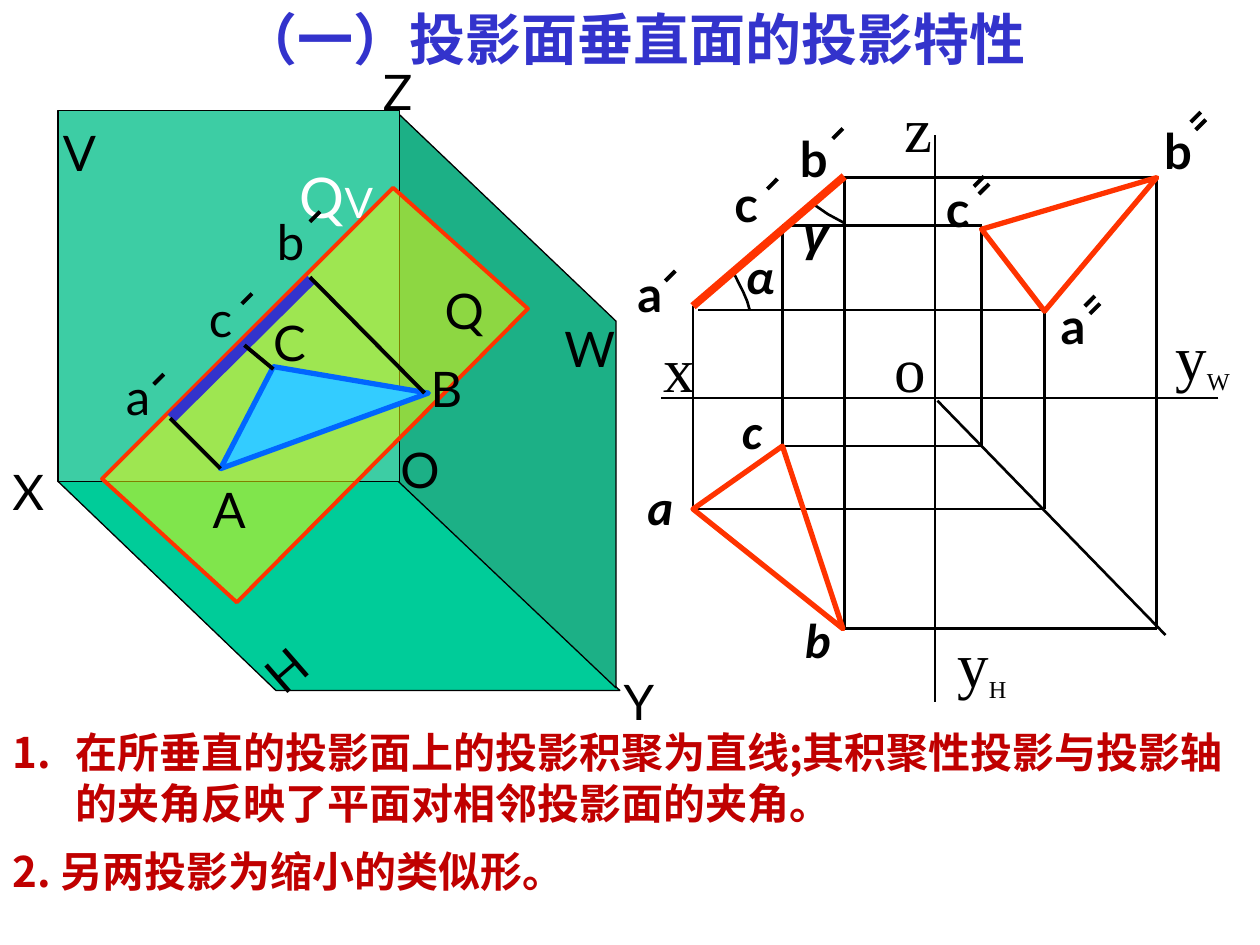
from dataclasses import dataclass

from lxml import etree
from pptx import Presentation
from pptx.dml.color import RGBColor
from pptx.enum.shapes import MSO_CONNECTOR, MSO_SHAPE
from pptx.enum.text import MSO_ANCHOR, MSO_AUTO_SIZE, PP_ALIGN
from pptx.oxml.ns import qn
from pptx.util import Inches, Pt

STRAIGHT = MSO_CONNECTOR.STRAIGHT
RECTANGLE = MSO_SHAPE.RECTANGLE
MIDDLE = MSO_ANCHOR.MIDDLE
FIT_SHAPE = MSO_AUTO_SIZE.SHAPE_TO_FIT_TEXT
NO_FIT = MSO_AUTO_SIZE.NONE
CENTER = PP_ALIGN.CENTER

BLACK, WHITE, BLUE = "000000", "FFFFFF", "3333CC"
ORANGE, DARK_RED = "FF3300", "C00000"
SANS, SERIF, ITALIC_FACE, CHINESE = "Lato", "Times New Roman", "Calibri", "Noto Sans CJK SC"

Point = tuple[float, float]


@dataclass
class Label:
    text: str
    left: float
    top: float
    width: float = 0.54
    height: float = 0.57
    size: float = 28
    font: str = SANS
    color: str = BLACK
    bold: bool = False
    italic: bool = False
    wrap: bool = True
    rotation: float = 0
    suffix: str = ""
    suffix_size: float = 24
    suffix_baseline: int = 0


@dataclass
class PrimedPoint:
    letter: str
    left: float
    top: float
    bold: bool = True
    primes: int = 1


PRIME_OFFSETS = {
    1: {"a": (0.4, 0.11), "b": (0.44, 0.05), "c": (0.44, 0.09)},
    2: {"a": (0.37, 0.05), "b": (0.39, -0.02), "c": (0.4, 0.03)},
}

prs = Presentation()
prs.slide_width, prs.slide_height = Inches(10), Inches(7.5)
slide = prs.slides.add_slide(prs.slide_layouts[5])
shapes = slide.shapes


def rgb(value: str) -> RGBColor:
    return RGBColor.from_string(value)


def style_font(font, size: float, face: str, color: str, bold=False, italic=False) -> None:
    font.size, font.name = Pt(size), face
    font.bold, font.italic = bold, italic
    font.color.rgb = rgb(color)
    if face == CHINESE:
        etree.SubElement(font._element, qn("a:ea")).set("typeface", face)


def draw_line(start: Point, end: Point, color=BLACK, width=1.5) -> None:
    line = shapes.add_connector(STRAIGHT, *map(Inches, start + end))
    line.line.color.rgb, line.line.width = rgb(color), Pt(width)
    etree.SubElement(line._element.spPr, qn("a:effectLst"))


def style_shape(shape, fill: str | None, color: str, width: float) -> None:
    shape.shadow.inherit = False
    if fill:
        shape.fill.solid()
        shape.fill.fore_color.rgb = rgb(fill)
    else:
        shape.fill.background()
    shape.line.color.rgb, shape.line.width = rgb(color), Pt(width)


def draw_outline(points: list[Point], color: str, width: float, fill=None, closed=True, alpha=None) -> None:
    corners = [(Inches(x), Inches(y)) for x, y in points]
    builder = shapes.build_freeform(*corners[0])
    builder.add_line_segments(corners[1:], close=closed)
    outline = builder.convert_to_shape()
    style_shape(outline, fill, color, width)
    if alpha:
        fill_color = outline._element.spPr.find(qn("a:solidFill"))[0]
        etree.SubElement(fill_color, qn("a:alpha")).set("val", str(alpha * 1000))


def draw_label(label: Label):
    box = shapes.add_textbox(*map(Inches, (label.left, label.top, label.width, label.height)))
    box.rotation = label.rotation
    frame = box.text_frame
    frame.word_wrap, frame.auto_size = label.wrap, FIT_SHAPE
    paragraph = frame.paragraphs[0]
    paragraph.add_run().text = label.text
    style_font(paragraph.font, label.size, label.font, label.color, label.bold, label.italic)
    if label.suffix:
        suffix = paragraph.add_run()
        suffix.text = label.suffix
        suffix.font.size = Pt(label.suffix_size)
        if label.suffix_baseline:
            suffix.font._element.set("baseline", str(label.suffix_baseline * 1000))
    return paragraph


def draw_primed(point: PrimedPoint) -> None:
    draw_label(Label(point.letter, point.left, point.top, bold=point.bold))
    dx, dy = PRIME_OFFSETS[point.primes][point.letter]
    for i in range(point.primes):
        x, y = point.left + dx + 0.04 * i, point.top + dy + 0.06 * i
        draw_line((x, y), (x - 0.08, y + 0.08), width=2.25)


title = shapes.title
title.left, title.top, title.width, title.height = map(Inches, (1.53, 0, 7, 0.6))
title.text_frame.text = "（一）投影面垂直面的投影特性"
title.text_frame.vertical_anchor, title.text_frame.auto_size = MIDDLE, NO_FIT
heading = title.text_frame.paragraphs[0]
heading.alignment = CENTER
style_font(heading.font, 32, CHINESE, BLUE, bold=True)

for start, end in (
    ((5.5, 4.04), (5.5, 2.43)), ((6.7, 4.99), (6.7, 1.4)),
    ((6.7, 4.99), (9.18, 4.99)), ((9.18, 4.99), (9.18, 1.4)),
    ((5.54, 2.46), (8.29, 2.46)), ((6.21, 1.79), (6.21, 3.54)),
    ((6.21, 3.54), (7.79, 3.54)), ((6.21, 1.79), (7.79, 1.79)),
    ((7.79, 3.54), (7.79, 1.79)), ((5.5, 4.04), (8.29, 4.04)),
    ((8.29, 4.04), (8.29, 2.46)), ((6.7, 1.41), (9.18, 1.41)),
):
    draw_line(start, end)

draw_outline([(3.17, 3.82), (4.92, 5.48), (2.19, 5.48), (0.46, 3.82)], BLACK, 0.75, "00CC99")
draw_outline([(3.16, 3.82), (3.16, 0.9), (4.89, 2.55), (4.89, 5.46)], BLACK, 0.75, "1CB086")
vertical_plane = shapes.add_shape(RECTANGLE, *map(Inches, (0.46, 0.88, 2.71, 2.94)))
style_shape(vertical_plane, "3DCDA4", BLACK, 0.75)
for letter, left, top, rotation in (
    ("V", 0.4, 0.92, 0), ("H", 2, 4.98, 318.9), ("W", 4.38, 2.48, 0), ("O", 3.08, 3.44, 0),
    ("X", 0, 3.61, 0), ("Y", 4.85, 5.28, 0), ("Z", 2.94, 0.44, 0),
):
    draw_label(Label(letter, left, top, 0.65, rotation=rotation))

draw_label(Label("Q", 2.28, 1.24, 0.94, 0.64, 32, color=WHITE, suffix="V"))
draw_outline([(3.12, 1.49), (0.81, 3.8), (1.88, 4.78), (4.19, 2.45)], ORANGE, 2.25, "FFFF00", alpha=50)
draw_label(Label("Q", 3.43, 2.18, 0.52))

draw_outline([(5.82, 2.16), (5.87, 2.26), (5.9, 2.32), (5.93, 2.39), (5.95, 2.46)], BLACK, 1.5, closed=False)
draw_outline([(6.44, 1.61), (6.57, 1.7), (6.7, 1.77)], BLACK, 1.5, closed=False)
draw_label(Label("α", 5.82, 1.9, 0.43, font=ITALIC_FACE, bold=True, italic=True, wrap=False))
draw_label(Label("γ", 6.27, 1.55, 0.42, font="Arial", bold=True, italic=True, wrap=False))
draw_outline([(6.21, 3.54), (5.5, 4.04), (6.69, 4.99)], ORANGE, 3)
draw_outline([(9.18, 1.41), (7.79, 1.82), (8.29, 2.47)], ORANGE, 3)
draw_line((5.5, 2.43), (6.7, 1.4), ORANGE, 4.5)

draw_line((7.44, 3.18), (9.25, 5.04))
draw_line((9.67, 3.16), (5.25, 3.16))
draw_line((7.42, 5.57), (7.42, 1.07))
for letter, left, top, width, plane in (
    ("o", 7, 2.57, 0.25, ""), ("x", 5.17, 2.57, 0.25, ""), ("z", 7.08, 0.66, 0.92, ""),
    ("y", 7.5, 4.91, 0.77, "H"), ("y", 9.23, 2.47, 0.77, "W"),
):
    draw_label(Label(letter, left, top, width, 0.7, 36, SERIF, suffix=plane, suffix_baseline=-25))

for letter, left, top in (("b", 6.29, 4.79), ("a", 5.04, 3.73), ("c", 5.79, 3.13)):
    draw_label(Label(letter, left, top, 0.79, font=ITALIC_FACE, bold=True, italic=True))

draw_line((2.47, 2.22), (1.36, 3.32), BLUE, 6)
for projection in (
    PrimedPoint("b", 9.14, 0.91, primes=2),
    PrimedPoint("c", 7.41, 1.37, primes=2),
    PrimedPoint("a", 8.32, 2.3, primes=2),
    PrimedPoint("b", 6.25, 0.97),
    PrimedPoint("c", 5.73, 1.33),
    PrimedPoint("a", 4.96, 2.04),
    PrimedPoint("b", 2.1, 1.63, bold=False),
    PrimedPoint("c", 1.56, 2.24, bold=False),
    PrimedPoint("a", 0.9, 2.86, bold=False),
):
    draw_primed(projection)

draw_outline([(2.17, 2.91), (1.75, 3.72), (3.4, 3.12)], "0066FF", 3, "33CCFF")
for vertex, foot in (((1.75, 3.72), (1.35, 3.32)), ((2.17, 2.93), (1.94, 2.74)), ((3.37, 3.12), (2.46, 2.2))):
    draw_line(vertex, foot, width=2.25)
for letter, left, top in (("A", 1.59, 3.76), ("B", 3.32, 2.8), ("C", 2.07, 2.43)):
    draw_label(Label(letter, left, top))

first_rule = draw_label(Label(
    "在所垂直的投影面上的投影积聚为直线;其积聚性投影与投影轴的夹角反映了平面对相邻投影面的夹角。",
    0, 5.72, 10, 0.9, 24, CHINESE, DARK_RED, bold=True))
numbering = first_rule._p.get_or_add_pPr()
numbering.set("marL", str(Inches(0.5)))
numbering.set("indent", str(Inches(-0.5)))
number = etree.Element(qn("a:buAutoNum"), type="arabicPeriod")
number_color = etree.Element(qn("a:buClr"))
etree.SubElement(number_color, qn("a:srgbClr")).set("val", DARK_RED)
numbering.insert(0, number_color)
numbering.insert(1, number)
draw_label(Label("2. 另两投影为缩小的类似形。", 0, 6.66, 9.67, 0.5, 24, CHINESE, DARK_RED, bold=True))

prs.save("out.pptx")
